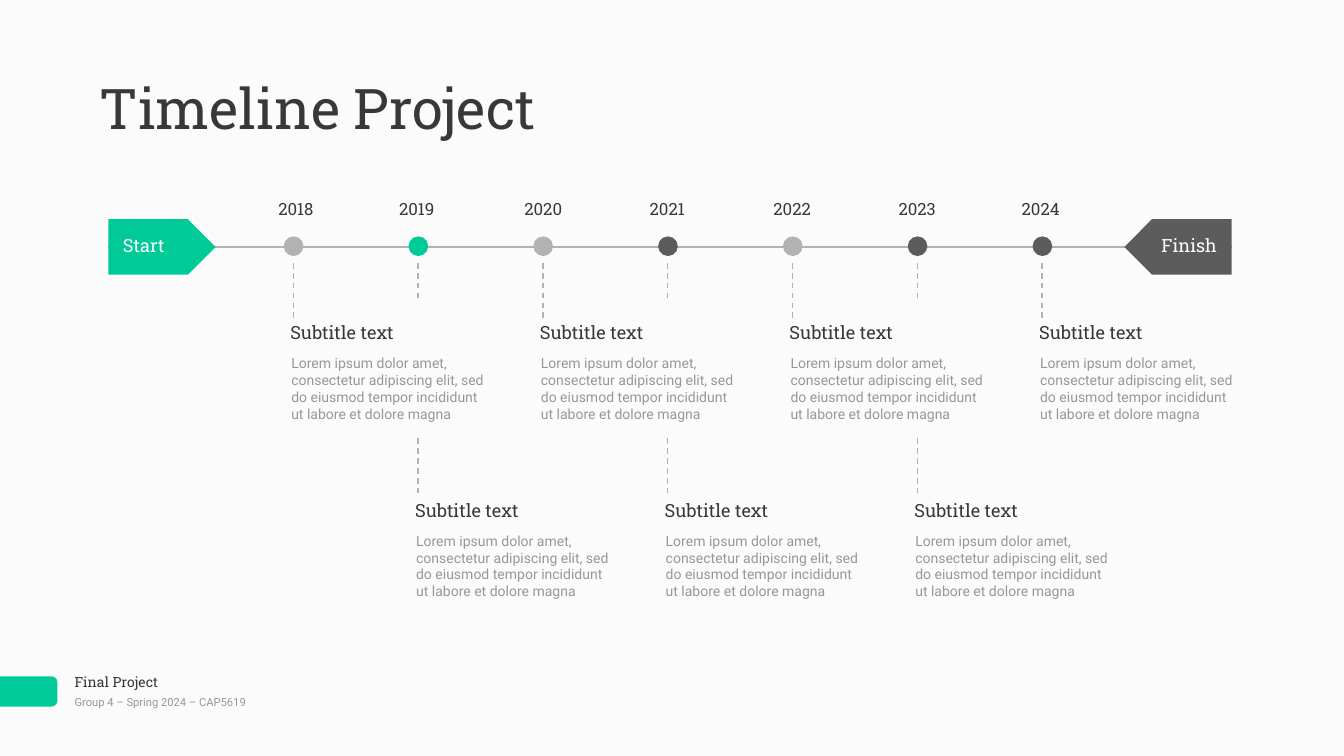
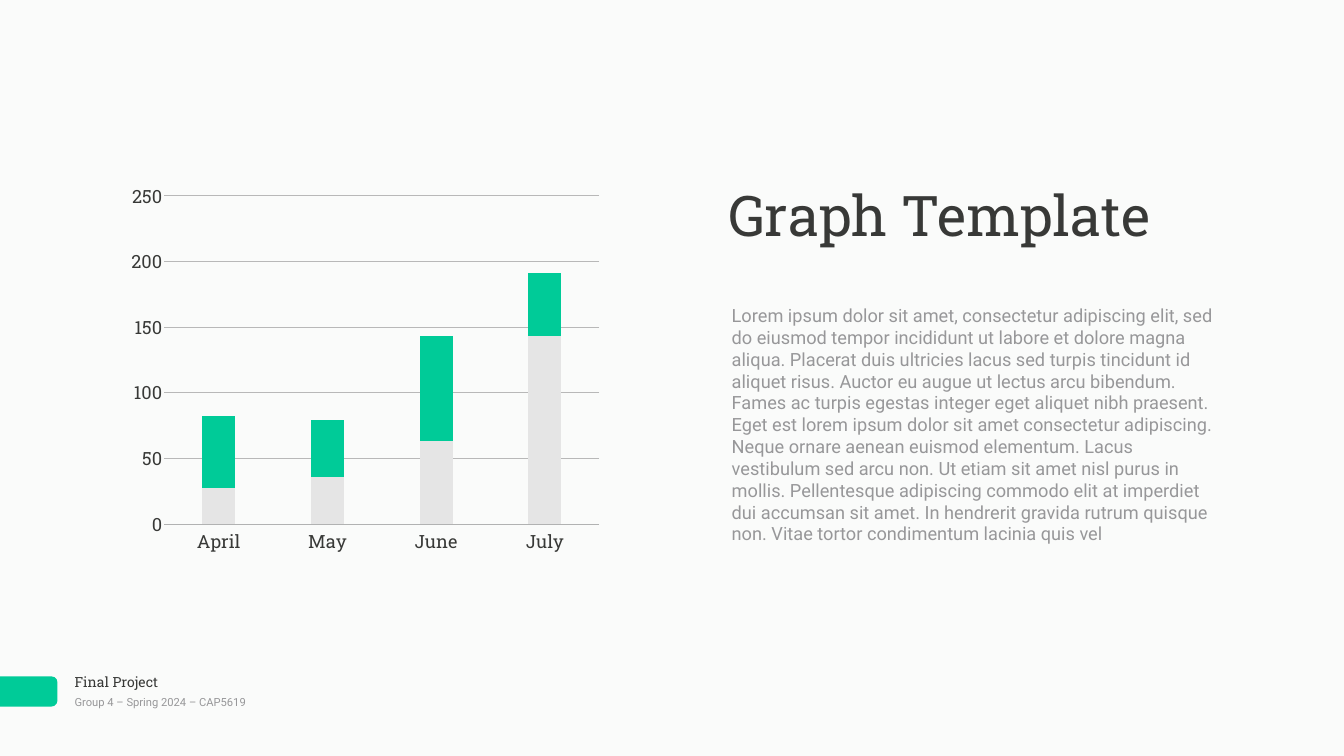
from lxml.etree import SubElement as Sub
from pptx import Presentation
from pptx.chart.data import CategoryChartData as Data
from pptx.dml.color import RGBColor as RGB
from pptx.enum.chart import XL_CHART_TYPE as Kind, XL_TICK_LABEL_POSITION as Spot, XL_TICK_MARK as Tick
from pptx.enum.dml import MSO_LINE as Dash
from pptx.enum.shapes import MSO_CONNECTOR as Link, MSO_SHAPE as Form
from pptx.enum.text import MSO_ANCHOR as Anchor, MSO_AUTO_SIZE as Auto, PP_ALIGN as Align
from pptx.oxml.ns import qn
from pptx.util import Inches, Pt

INK, PALE, GREY, DARK, GREEN, MUTE = "383937", "FAFBFA", "B2B2B2", "5C5C5C", "00CB98", "979799"
SLAB, SANS = "Roboto Slab", "Roboto"

FOOT = [("Final Project", (1.42, 13.3, 3.19, 0.45), 20, SLAB, INK, Anchor.TOP),
        ("Group 4 – Spring 2024 – CAP5619", (1.42, 13.73, 4.72, 0.38), 16, SANS, MUTE, Anchor.MIDDLE)]

YEARS = [("2018", 5.87, GREY), ("2019", 8.27, GREEN), ("2020", 10.78, GREY), ("2021", 13.24, DARK),
         ("2022", 15.72, GREY), ("2023", 18.2, DARK), ("2024", 20.65, DARK)]
HEAD = "Subtitle text"
BODY = ("Lorem ipsum dolor amet, consectetur adipiscing elit, sed do eiusmod "
        "tempor incididunt ut labore et dolore magna")
ENDS = [("Finish", 22.31, DARK, 180, (22.99, 4.59, 1.21, 0.54), Align.RIGHT),
        ("Start", 2.15, GREEN, 0, (2.39, 4.59, 0.95, 0.54), Align.LEFT)]
ROWS = [(6.32, [(5.22, 6.36)]), (9.84, [(5.22, 5.96), (8.7, 9.84)])]
AXIS, FIRST, LAST = 4.9, 5.82, 20.68

ESSAY = ("Lorem ipsum dolor sit amet, consectetur adipiscing elit, sed do eiusmod tempor incididunt "
         "ut labore et dolore magna aliqua. Placerat duis ultricies lacus sed turpis tincidunt id "
         "aliquet risus. Auctor eu augue ut lectus arcu bibendum. Fames ac turpis egestas integer "
         "eget aliquet nibh praesent. Eget est lorem ipsum dolor sit amet consectetur adipiscing. "
         "Neque ornare aenean euismod elementum. Lacus vestibulum sed arcu non. Ut etiam sit amet "
         "nisl purus in mollis. Pellentesque adipiscing commodo elit at imperdiet dui accumsan sit "
         "amet. In hendrerit gravida rutrum quisque non. Vitae tortor condimentum lacinia quis vel")
MONTHS = ["April", "May", "June", "July"]
BARS = [("Series 1", (27, 36, 63, 143), "E5E5E5"), ("Series 2", (55, 43, 80, 48), GREEN)]
PLOT = {"x": 0.097, "y": 0.061, "w": 0.898, "h": 0.838}


def put(item, **vals):
    for key, val in vals.items():
        setattr(item, key, val)


def hue(code):
    return RGB.from_string(code)


def paint(fill, code):
    fill.solid()
    fill.fore_color.rgb = hue(code)


def style(font, size, face, code):
    put(font, size=Pt(size), name=face)
    font.color.rgb = hue(code)


def stroke(line, code, width):
    paint(line.fill, code)
    line.width = Pt(width)


def write(page, text, box, size, face=SLAB, code=INK, anchor=Anchor.TOP,
          align=Align.LEFT, wrap=True, pad=0.06):
    frame = page.shapes.add_textbox(*map(Inches, box)).text_frame
    sides = ("left", "top", "right", "bottom")
    put(frame, word_wrap=wrap, auto_size=Auto.SHAPE_TO_FIT_TEXT, vertical_anchor=anchor,
        **{f"margin_{side}": Inches(pad) for side in sides})
    para = frame.paragraphs[0]
    para.alignment = align
    run = para.add_run()
    run.text = text
    style(run.font, size, face, code)


def shape(page, form, box, code, turn=0):
    item = page.shapes.add_shape(form, *map(Inches, box))
    item.shadow.inherit = False
    item.rotation = turn
    paint(item.fill, code)
    item.line.fill.background()
    return item


def rule(page, *ends, dash=None):
    item = page.shapes.add_connector(Link.STRAIGHT, *map(Inches, ends))
    stroke(item.line, GREY, 2)
    if dash:
        item.line.dash_style = dash
    Sub(item.element.spPr, qn("a:effectLst"))


def start(deck, title, box):
    page = deck.slides.add_slide(deck.slide_layouts[6])
    paint(page.background.fill, PALE)
    for text, area, size, face, code, anchor in FOOT:
        write(page, text, area, size, face, code, anchor)
    tab = shape(page, Form.ROUND_2_SAME_RECTANGLE, (0.22, 13.1, 0.6, 1.24), GREEN, 90)
    tab.adjustments[0] = 0.2
    write(page, title, box, 80)
    return page


def timeline(deck):
    page = start(deck, "Timeline Project", (1.92, 1.4, 9.47, 1.46))
    rule(page, 2.15, AXIS, 24.44, AXIS)
    for text, left, code, turn, box, align in ENDS:
        shape(page, Form.PENTAGON, (left, AXIS - 0.55, 2.13, 1.1), code, turn)
        write(page, text, box, 26, code=PALE, align=align, wrap=False, pad=0.05)
    step = (LAST - FIRST) / (len(YEARS) - 1)
    for n, (year, mid, code) in enumerate(YEARS):
        x = FIRST + n * step
        top, dashes = ROWS[n % 2]
        shape(page, Form.OVAL, (x - 0.19, AXIS - 0.21, 0.39, 0.39), code)
        for y, end in dashes:
            rule(page, x, y, x, end, dash=Dash.DASH)
        write(page, year, (mid - 0.43, 3.9, 0.86, 0.5), 24, align=Align.CENTER, wrap=False, pad=0.05)
        write(page, HEAD, (x - 0.12, top, 3.12, 0.55), 26)
        write(page, BODY, (x - 0.1, top + 0.66, 4.05, 1.44), 20, SANS, MUTE)


def graph(deck):
    page = start(deck, "Graph Template", (14.39, 3.53, 8.86, 1.46))
    write(page, ESSAY, (14.46, 5.98, 9.88, 4.93), 26, SANS, MUTE)
    data = Data()
    data.categories = MONTHS
    for name, vals, code in BARS:
        data.add_series(name, vals)
    box = map(Inches, (2.33, 3.41, 9.61, 7.77))
    chart = page.shapes.add_chart(Kind.COLUMN_STACKED, *box, data).chart
    put(chart, has_legend=False, has_title=False)
    style(chart.font, 10, "Arial", INK)
    plot = chart.plots[0]
    put(plot, gap_width=230, overlap=100, vary_by_categories=False)
    for bar, (name, vals, code) in zip(plot.series, BARS):
        paint(bar.format.fill, code)
    cat, val = chart.category_axis, chart.value_axis
    for axis in (cat, val):
        put(axis, major_tick_mark=Tick.NONE, minor_tick_mark=Tick.NONE)
        style(axis.tick_labels.font, 26, SLAB, INK)
    cat.tick_label_position = Spot.LOW
    stroke(cat.format.line, "B1B2B2", 1)
    put(val, minimum_scale=0, maximum_scale=250, major_unit=50, has_major_gridlines=True)
    val.format.line.fill.background()
    stroke(val.major_gridlines.format.line, "B8B8B8", 1)
    area = chart.element.find(".//" + qn("c:plotArea"))
    for old in area.findall(qn("c:layout")):
        area.remove(old)
    lay = Sub(area, qn("c:layout"))
    area.insert(0, lay)
    man = Sub(lay, qn("c:manualLayout"))
    marks = {"layoutTarget": "inner", "xMode": "edge", "yMode": "edge", **PLOT}
    for tag, mark in marks.items():
        Sub(man, qn("c:" + tag), val=str(mark))


def main():
    deck = Presentation()
    put(deck, slide_width=Inches(26.67), slide_height=Inches(15))
    timeline(deck)
    graph(deck)
    deck.save("out.pptx")


if __name__ == "__main__":
    main()
